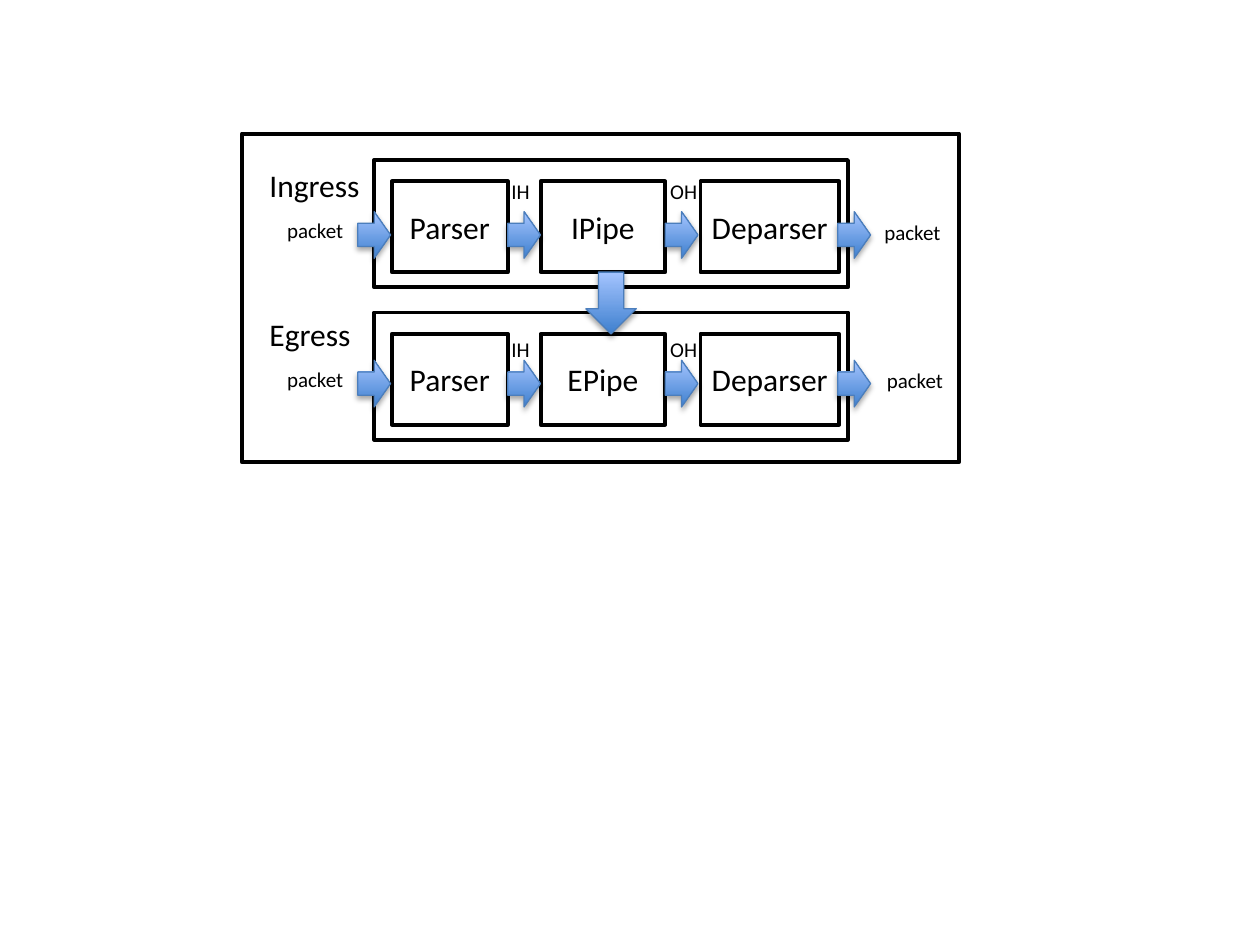
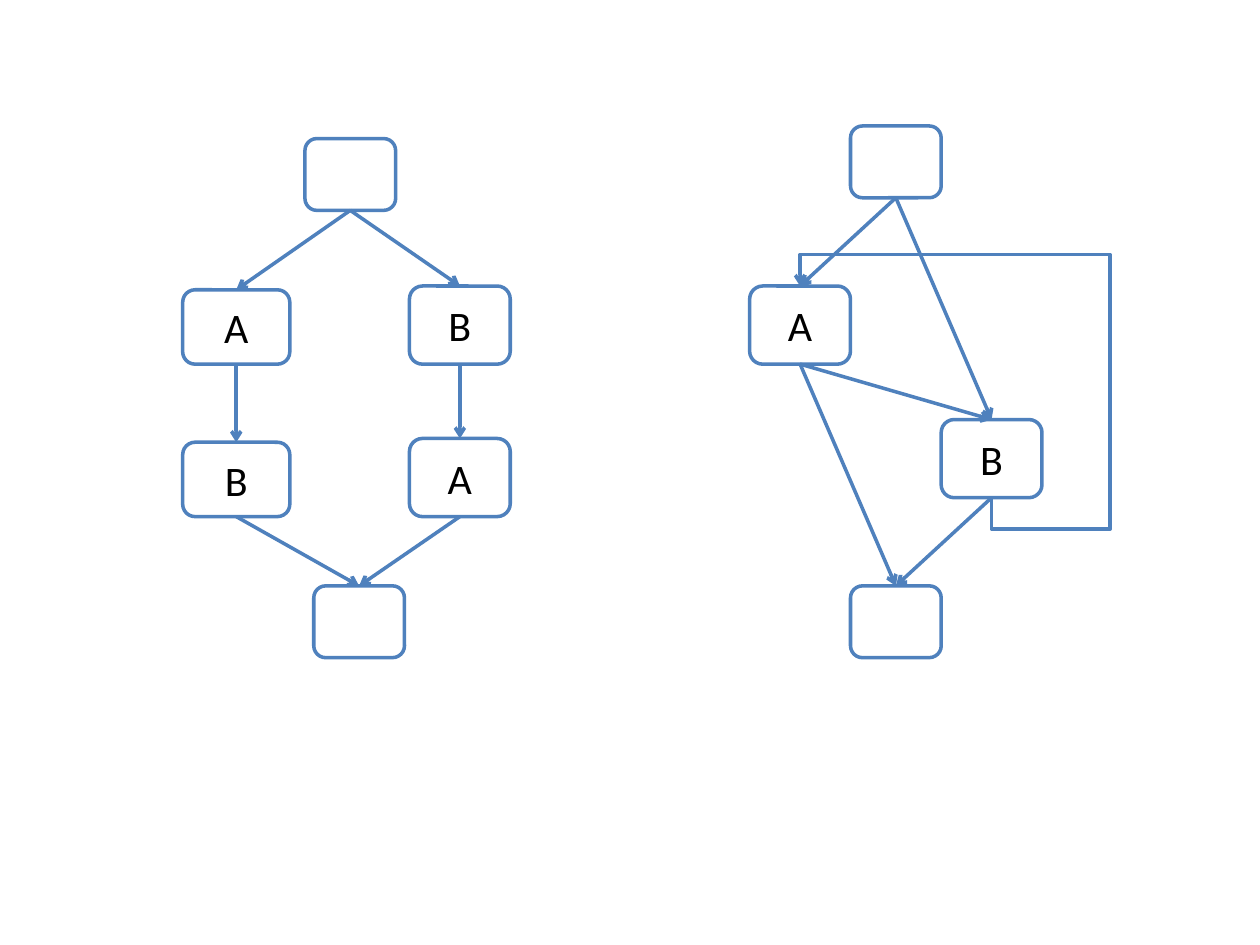
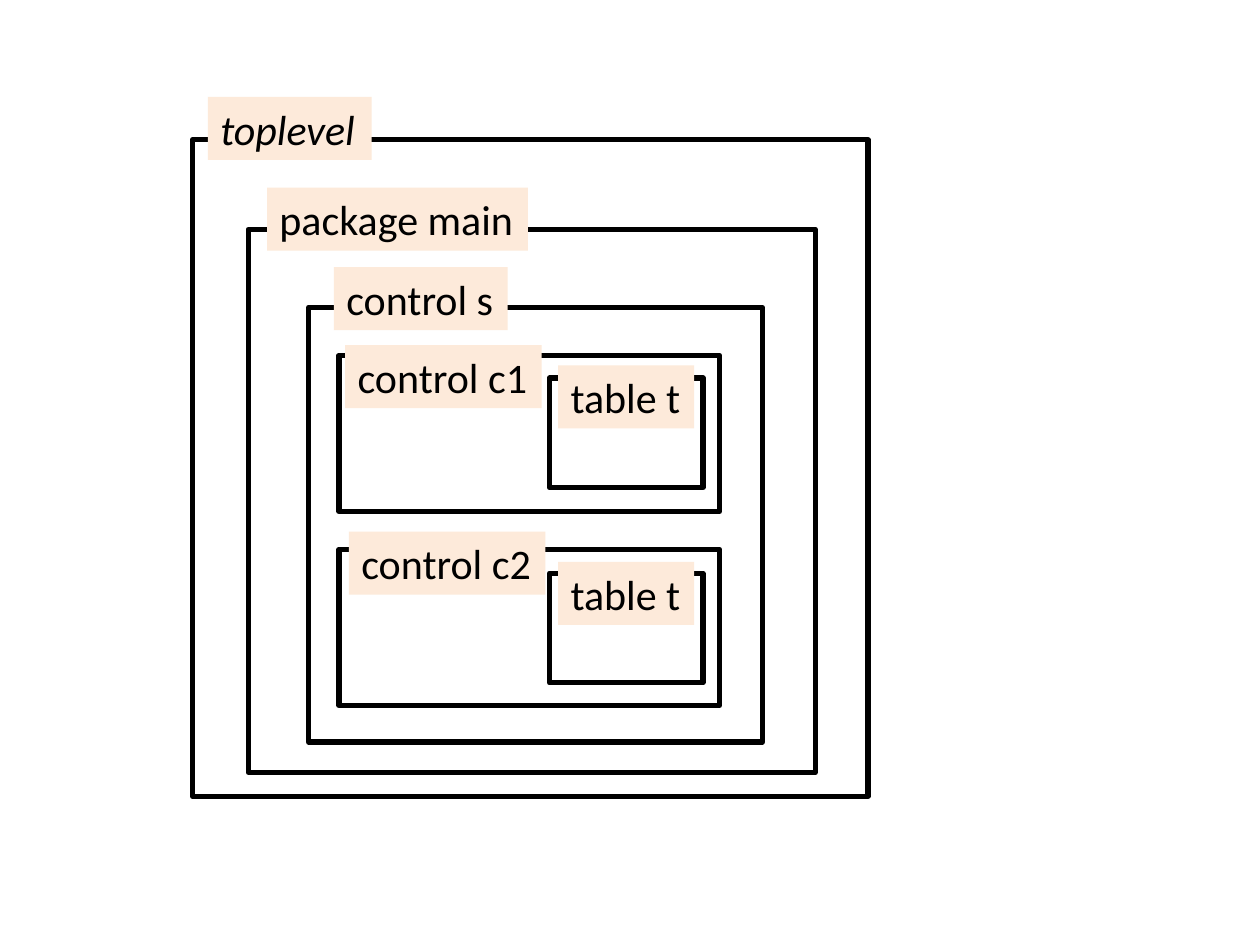
from dataclasses import dataclass

from lxml import etree
from pptx import Presentation
from pptx.dml.color import RGBColor
from pptx.enum.shapes import MSO_CONNECTOR, MSO_SHAPE
from pptx.enum.text import MSO_ANCHOR, MSO_AUTO_SIZE, PP_ALIGN
from pptx.oxml.ns import qn
from pptx.util import Inches, Pt

RECT = MSO_SHAPE.RECTANGLE
ROUND = MSO_SHAPE.ROUNDED_RECTANGLE
RIGHT = MSO_SHAPE.RIGHT_ARROW
DOWN = MSO_SHAPE.DOWN_ARROW
STRAIGHT = MSO_CONNECTOR.STRAIGHT
ELBOW = MSO_CONNECTOR.ELBOW
MIDDLE = MSO_ANCHOR.MIDDLE
TOP = MSO_ANCHOR.TOP
CENTER = PP_ALIGN.CENTER
LEFT = PP_ALIGN.LEFT
FIXED = MSO_AUTO_SIZE.NONE
BLANK = 6  # layout without placeholders


@dataclass(frozen=True)
class Theme:
    """Colours, font, type sizes and line widths of the deck."""
    font: str = "Calibri"
    ink: str = "000000"
    paper: str = "FFFFFF"
    blue: str = "4F81BD"
    peach: str = "FDEADA"
    edge: str = "4B7EBC"
    deep: str = "3F80CE"
    light: str = "A4C4FF"
    small: int = 12
    body: int = 18
    large: int = 24
    hair: float = 0.75
    thin: float = 2
    medium: float = 2.25
    thick: float = 3


class Deck:
    """Holds the theme, the presentation and the current slide."""

    def __init__(self, theme):
        """Start an empty 10 by 7.5 inch deck."""
        self.theme = theme
        self.prs = Presentation()
        self.prs.slide_width = Inches(10)
        self.prs.slide_height = Inches(7.5)
        self.slide = None

    def page(self):
        """Add a blank slide and make it current."""
        self.slide = self.prs.slides.add_slide(self.prs.slide_layouts[BLANK])

    def shape(self, kind, at, fill=None, line=None, width=1):
        """Add a flat preset shape at (left, top, width, height)."""
        item = self.slide.shapes.add_shape(kind, *map(Inches, at))
        item.shadow.inherit = False
        if fill:
            item.fill.solid()
            item.fill.fore_color.rgb = RGBColor.from_string(fill)
        else:
            item.fill.background()
        if line:
            self.stroke(item.line, line, width)
        else:
            item.line.fill.background()
        return item

    def stroke(self, line, color, width):
        """Set the colour and width of a line."""
        line.color.rgb = RGBColor.from_string(color)
        line.width = Pt(width)

    def letter(self, item, text, size, align=CENTER, anchor=MIDDLE,
               wrap=False, italic=None):
        """Put one run of text into a shape."""
        frame = item.text_frame
        frame.auto_size = FIXED
        frame.word_wrap = wrap
        frame.vertical_anchor = anchor
        para = frame.paragraphs[0]
        para.alignment = align
        run = para.add_run()
        run.text = text
        run.font.name = self.theme.font
        run.font.size = Pt(size)
        run.font.italic = italic
        run.font.color.rgb = RGBColor.from_string(self.theme.ink)

    def frame(self, at, width, text=None):
        """Add a black outline, with centred text if given."""
        item = self.shape(RECT, at, line=self.theme.ink, width=width)
        if text:
            self.letter(item, text, self.theme.body)

    def label(self, at, text, size):
        """Add a plain text box."""
        item = self.slide.shapes.add_textbox(*map(Inches, at))
        item.text_frame.margin_right = 0
        self.letter(item, text, size, LEFT, TOP, wrap=True)

    def tag(self, at, text, italic=None):
        """Add a peach name tag."""
        item = self.shape(RECT, at, fill=self.theme.peach)
        item.text_frame.margin_right = 0
        self.letter(item, text, self.theme.large, LEFT, TOP, True, italic)

    def arrow(self, kind, at):
        """Add a block arrow with a gradient and a soft shadow."""
        look = self.theme
        item = self.shape(kind, at, line=look.edge, width=look.hair)
        item.fill.gradient()
        item.fill.gradient_angle = 90
        for stop, color in zip(item.fill.gradient_stops,
                               (look.deep, look.light)):
            stop.color.rgb = RGBColor.from_string(color)
        glow = etree.SubElement(
            item.element.spPr.find(qn("a:effectLst")), qn("a:outerShdw"),
            blurRad=str(Pt(3.1)), dist=str(Pt(1.8)), dir="5400000",
            rotWithShape="0")
        tint = etree.SubElement(glow, qn("a:srgbClr"), val=look.ink)
        etree.SubElement(tint, qn("a:alpha"), val="35000")

    def node(self, at, text=None):
        """Add a rounded graph node and return it."""
        look = self.theme
        item = self.shape(ROUND, at, look.paper, look.blue, look.thin)
        if text:
            self.letter(item, text, look.large, wrap=True)
        return item

    def wire(self, kind, ends=(0, 0, 0, 0)):
        """Add a blue connector with an open arrowhead."""
        item = self.slide.shapes.add_connector(kind, *map(Inches, ends))
        self.stroke(item.line, self.theme.blue, self.theme.thin)
        props = item.element.spPr
        etree.SubElement(props.find(qn("a:ln")), qn("a:tailEnd"),
                         type="arrow")
        etree.SubElement(props, qn("a:effectLst"))
        return item

    def link(self, start, end):
        """Join the bottom of one node to the top of another."""
        item = self.wire(STRAIGHT)
        item.begin_connect(start, 2)
        item.end_connect(end, 0)

    def loop(self, ends, bends):
        """Add a five-part elbow, turned a quarter, as a back edge."""
        props = self.wire(ELBOW, ends).element.spPr
        props.find(qn("a:xfrm")).set("rot", "5400000")
        geom = props.find(qn("a:prstGeom"))
        geom.set("prst", "bentConnector5")
        guides = geom.find(qn("a:avLst"))
        for num, bend in enumerate(bends, 1):
            etree.SubElement(guides, qn("a:gd"), name=f"adj{num}",
                             fmla=f"val {bend}")


def pipes(deck):
    """Draw the ingress and egress pipelines."""
    look = deck.theme
    deck.page()
    deck.frame((1.92, 1.06, 5.69, 2.61), look.medium)
    # name, name width, pipe, then tops: lane, name, headers, arrows; exit left
    lanes = (("Ingress", 0.93, "IPipe", 1.27, 1.27, 1.37, 1.68, 6.92),
             ("Egress", 0.86, "EPipe", 2.48, 2.45, 2.62, 2.86, 6.94))
    for name, wide, pipe, top, head, note, flow, out in lanes:
        deck.frame((2.97, top, 3.76, 1.01), look.medium)
        for left, width, text in ((3.11, 0.92, "Parser"), (4.29, 0.99, pipe),
                                  (5.56, 1.1, "Deparser")):
            deck.frame((left, top + 0.17, width, 0.72), look.medium, text)
        deck.label((2.04, head, wide, 0.4), name, look.body)
        for left in (2.84, 4.03, 5.28, 6.65):
            deck.arrow(RIGHT, (left, flow, 0.26, 0.37))
        deck.label((3.96, note, 0.35, 0.3), "IH", look.small)
        deck.label((5.22, note, 0.42, 0.3), "OH", look.small)
        deck.label((2.18, flow, 0.66, 0.3), "packet", look.small)
        deck.label((out, flow + 0.01, 0.66, 0.3), "packet", look.small)
    deck.arrow(DOWN, (4.65, 2.16, 0.4, 0.49))


def graphs(deck):
    """Draw the unrolled graph and the graph with a cycle."""
    deck.page()
    small, wide, tall = (0.72, 0.57), (0.85, 0.59), (0.8, 0.62)

    start = deck.node((2.42, 1.1, *small))
    end = deck.node((2.49, 4.65, *small))
    for left, tops, size, names in ((1.45, (2.3, 3.51), wide, "AB"),
                                    (3.25, (2.27, 3.48), tall, "BA")):
        first, last = (deck.node((left, top, *size), name)
                       for top, name in zip(tops, names))
        for pair in ((start, first), (first, last), (last, end)):
            deck.link(*pair)

    start = deck.node((6.75, 1, *small))
    left = deck.node((5.95, 2.27, *tall), "A")
    right = deck.node((7.47, 3.33, *tall), "B")
    end = deck.node((6.75, 4.65, *small))
    for pair in ((left, right), (start, left), (start, right),
                 (left, end), (right, end)):
        deck.link(*pair)
    deck.loop((7.95, 2.35, 6.27, 3.87), (-14900, -61900, 114900))


def scopes(deck):
    """Draw the nested name scopes."""
    deck.page()
    # frame, tag left, top and width, name
    blocks = (
        ((1.53, 1.11, 5.36, 5.21), (1.65, 0.77, 1.3), "toplevel"),
        ((1.97, 1.82, 4.5, 4.31), (2.12, 1.49, 2.07), "package main"),
        ((2.45, 2.44, 3.6, 3.45), (2.65, 2.12, 1.38), "control s"),
        ((2.69, 2.82, 3.02, 1.24), (2.74, 2.74, 1.56), "control c1"),
        ((4.36, 3, 1.22, 0.87), (4.43, 2.9, 1.08), "table t"),
        ((2.69, 4.36, 3.02, 1.24), (2.77, 4.22, 1.56), "control c2"),
        ((4.36, 4.55, 1.22, 0.87), (4.43, 4.46, 1.08), "table t"),
    )
    for at, spot, name in blocks:
        deck.frame(at, deck.theme.thick)
        deck.tag((*spot, 0.5), name, italic=name == "toplevel" or None)


def main():
    """Build and save the deck."""
    deck = Deck(Theme())
    for draw in (pipes, graphs, scopes):
        draw(deck)
    deck.prs.save("out.pptx")


main()
